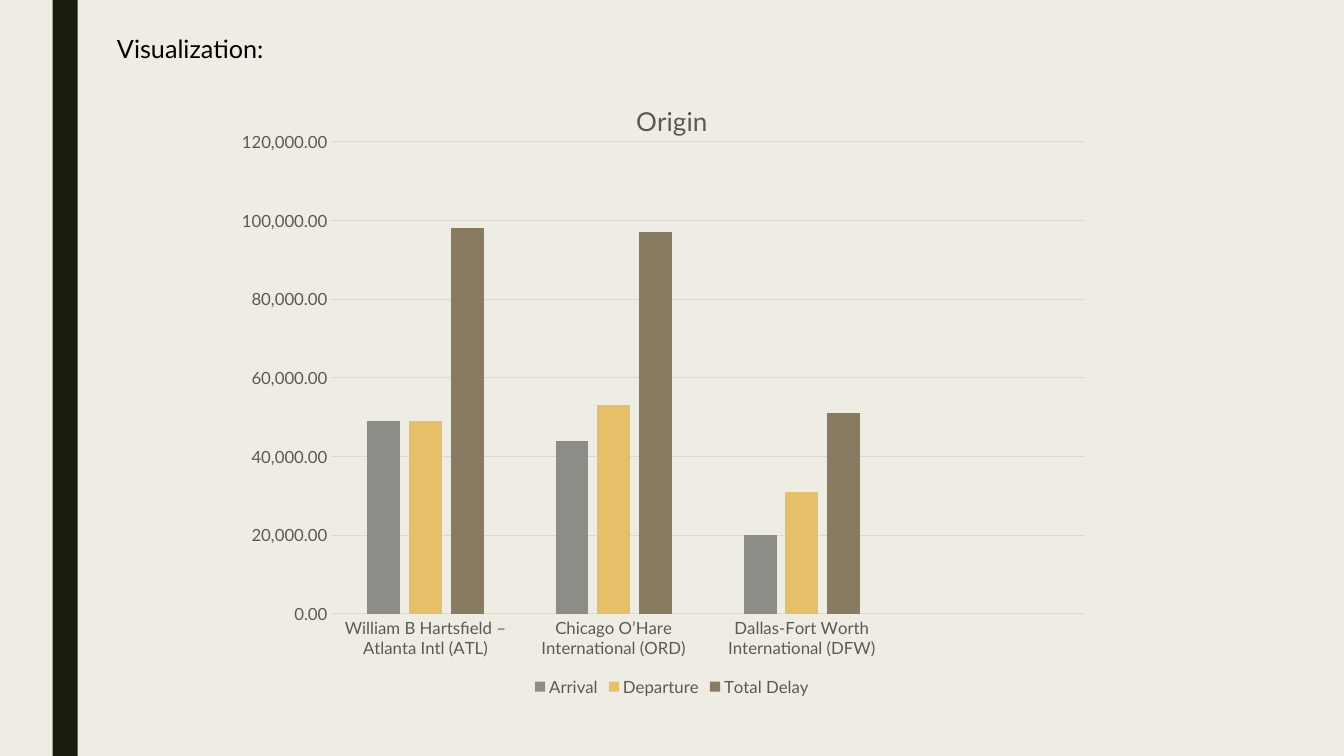
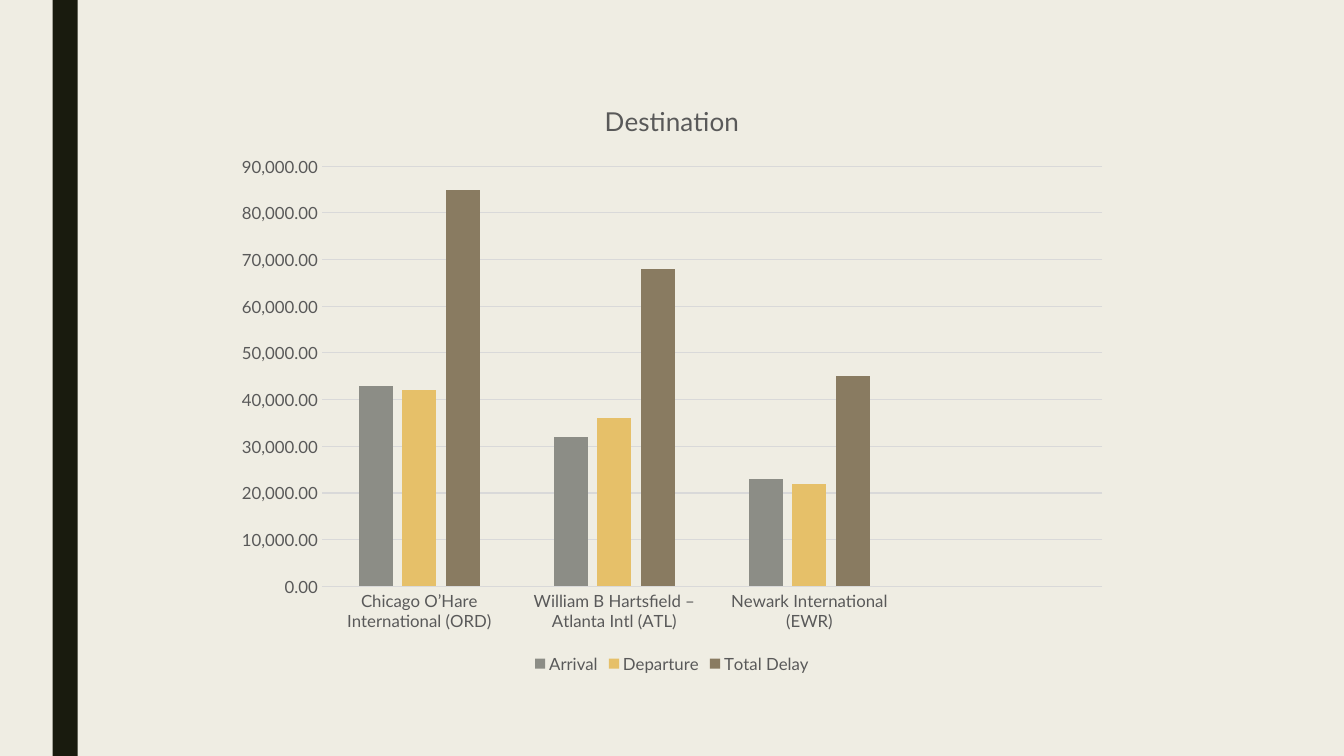
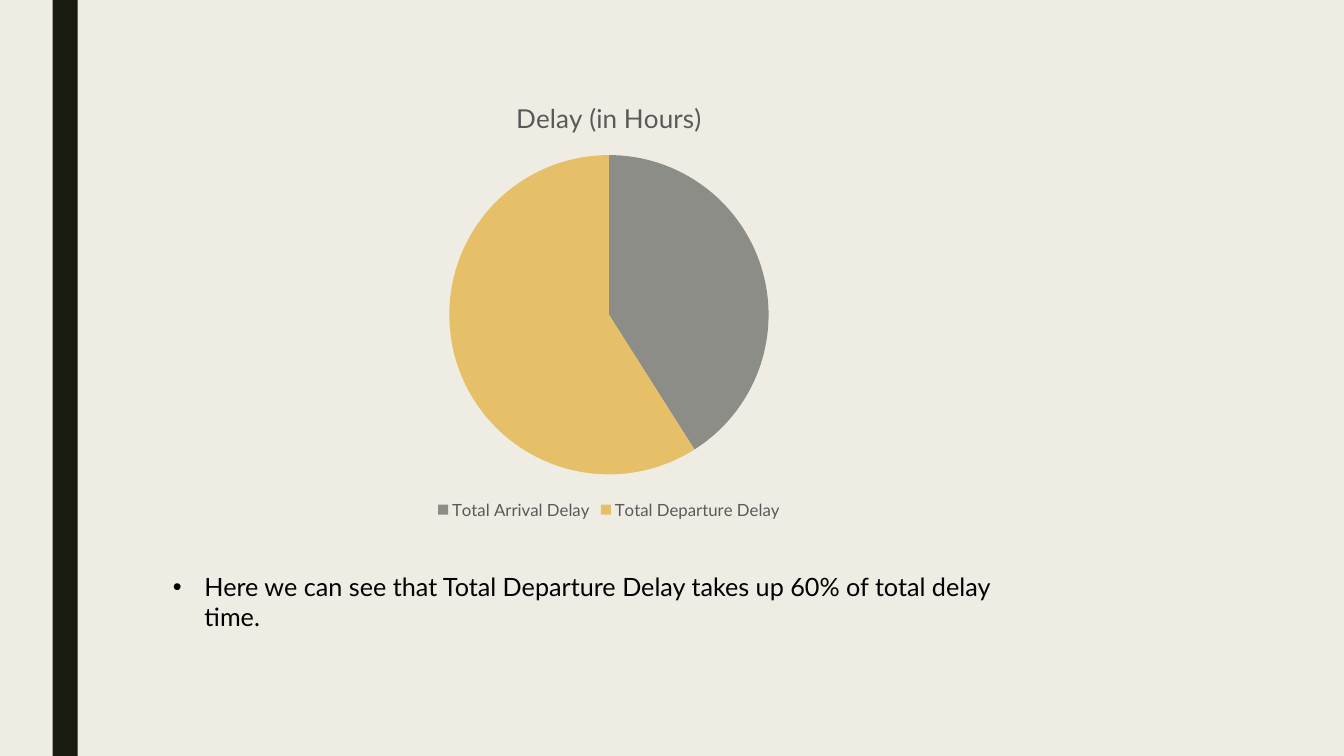
from lxml import etree
from pptx import Presentation
from pptx.chart.data import CategoryChartData
from pptx.dml.color import RGBColor
from pptx.enum.chart import XL_CHART_TYPE, XL_LEGEND_POSITION, XL_TICK_MARK
from pptx.enum.shapes import MSO_SHAPE
from pptx.oxml import parse_xml
from pptx.oxml.ns import qn
from pptx.util import Pt

RECT = MSO_SHAPE.RECTANGLE
COLUMN = XL_CHART_TYPE.COLUMN_CLUSTERED
PIE = XL_CHART_TYPE.PIE
BOTTOM = XL_LEGEND_POSITION.BOTTOM
NONE = XL_TICK_MARK.NONE

FONT = "Lato"
HEX = {
    "paper": "EFEDE3",
    "band": "191B0E",
    "ink": "000000",
    "label": "595959",
    "grid": "D9D9D9",
    "Arrival": "8C8D86",
    "Departure": "E6C069",
    "Total Delay": "897B61",
}
RGB = {name: RGBColor.from_string(code) for name, code in HEX.items()}
LAYOUT = (
    '<c:layout xmlns:c="http://schemas.openxmlformats.org/drawingml/2006/chart">'
    '<c:manualLayout><c:layoutTarget val="inner"/>'
    '<c:xMode val="edge"/><c:yMode val="edge"/>'
    '<c:x val="0.12"/><c:y val="0.1"/><c:w val="0.84"/><c:h val="0.76"/>'
    '</c:manualLayout></c:layout>'
)


def add_text(slide, text, left, top, width):
    box = slide.shapes.add_textbox(Pt(left), Pt(top), Pt(width), Pt(29))
    frame = box.text_frame
    frame.word_wrap = True
    frame.text = text
    line = frame.paragraphs[0]
    font = line.runs[0].font
    font.name, font.size = FONT, Pt(18)
    font.color.rgb = RGB["ink"]
    return line


def add_chart(slide, kind, title, cats, rows, width, height):
    data = CategoryChartData(number_format="#,##0.00")
    data.categories = cats
    for name, vals in rows.items():
        data.add_series(name, vals)
    frame = slide.shapes.add_chart(
        kind, Pt(160), Pt(57), Pt(width), Pt(height), data)
    chart = frame.chart
    chart.font.name, chart.font.size = FONT, Pt(12)
    chart.font.color.rgb = RGB["label"]
    chart.has_title = True
    chart.chart_title.text_frame.text = title
    chart.chart_title.include_in_layout = False
    font = chart.chart_title.text_frame.paragraphs[0].runs[0].font
    font.name, font.size, font.bold = FONT, Pt(18.6), False
    font.color.rgb = RGB["label"]
    chart.has_legend = True
    chart.legend.position = BOTTOM
    chart.legend.include_in_layout = False
    chart.plots[0].vary_by_categories = kind == PIE
    return chart


prs = Presentation()
prs.slide_width, prs.slide_height = Pt(960), Pt(540)
blank = prs.slide_layouts[6]
first, second, third = [prs.slides.add_slide(blank) for _ in range(3)]

master = prs.slide_master
master.background.fill.solid()
master.background.fill.fore_color.rgb = RGB["paper"]
band = first.shapes.add_shape(RECT, Pt(37.5), Pt(0), Pt(18), Pt(540))
band.shadow.inherit = False
band.fill.solid()
band.fill.fore_color.rgb = RGB["band"]
band.line.fill.background()
master.element.cSld.spTree.append(band.element)

add_text(first, "Visualization:", 76.5, 20, 266)

ATL = "William B Hartsfield – Atlanta Intl (ATL)"
ORD = "Chicago O’Hare International (ORD)"
DFW = "Dallas-Fort Worth International (DFW)"
EWR = "Newark International (EWR)"
bars = [
    (first, "Origin", 443.5, [ATL, ORD, DFW, ""], {
        "Arrival": [49000, 44000, 20000, None],
        "Departure": [49000, 53000, 31000, None],
        "Total Delay": [98000, 97000, 51000, None],
    }),
    (second, "Destination", 427, [ORD, ATL, EWR, ""], {
        "Arrival": [43000, 32000, 23000, None],
        "Departure": [42000, 36000, 22000, None],
        "Total Delay": [85000, 68000, 45000, None],
    }),
]
for slide, title, height, cats, rows in bars:
    chart = add_chart(slide, COLUMN, title, cats, rows, 640, height)
    plot = chart.plots[0]
    plot.gap_width, plot.overlap = 219, -27
    for series in plot.series:
        series.format.fill.solid()
        series.format.fill.fore_color.rgb = RGB[series.name]
    for axis in (chart.category_axis, chart.value_axis):
        axis.major_tick_mark = axis.minor_tick_mark = NONE
    values = chart.value_axis
    values.format.line.fill.background()
    values.tick_labels.number_format = "#,##0.00"
    values.tick_labels.number_format_is_linked = False
    for line in (chart.category_axis.format.line,
                 values.major_gridlines.format.line):
        line.color.rgb = RGB["grid"]
        line.width = Pt(0.75)
    if slide is first:
        area = chart.element.find(".//" + qn("c:plotArea"))
        area.insert(0, parse_xml(LAYOUT))

head = "Delay (in Hours)"
parts = ["Total Arrival Delay", "Total Departure Delay"]
chart = add_chart(third, PIE, head, parts, {head: [41, 59]}, 550, 317)
for spot, name in enumerate(["Arrival", "Departure"]):
    fill = chart.plots[0].series[0].points[spot].format.fill
    fill.solid()
    fill.fore_color.rgb = RGB[name]

note = add_text(
    third,
    "Here we can see that Total Departure Delay takes up 60% of total delay time.",
    116.5, 404.5, 626)
props = note.runs[0].font and note.element.get_or_add_pPr() if hasattr(note, "element") else note._p.get_or_add_pPr()
props.set("marL", str(Pt(22.5)))
props.set("indent", str(-Pt(22.5)))
etree.SubElement(props, qn("a:buFont")).set("typeface", "Arial")
etree.SubElement(props, qn("a:buChar")).set("char", "•")

prs.save("out.pptx")
